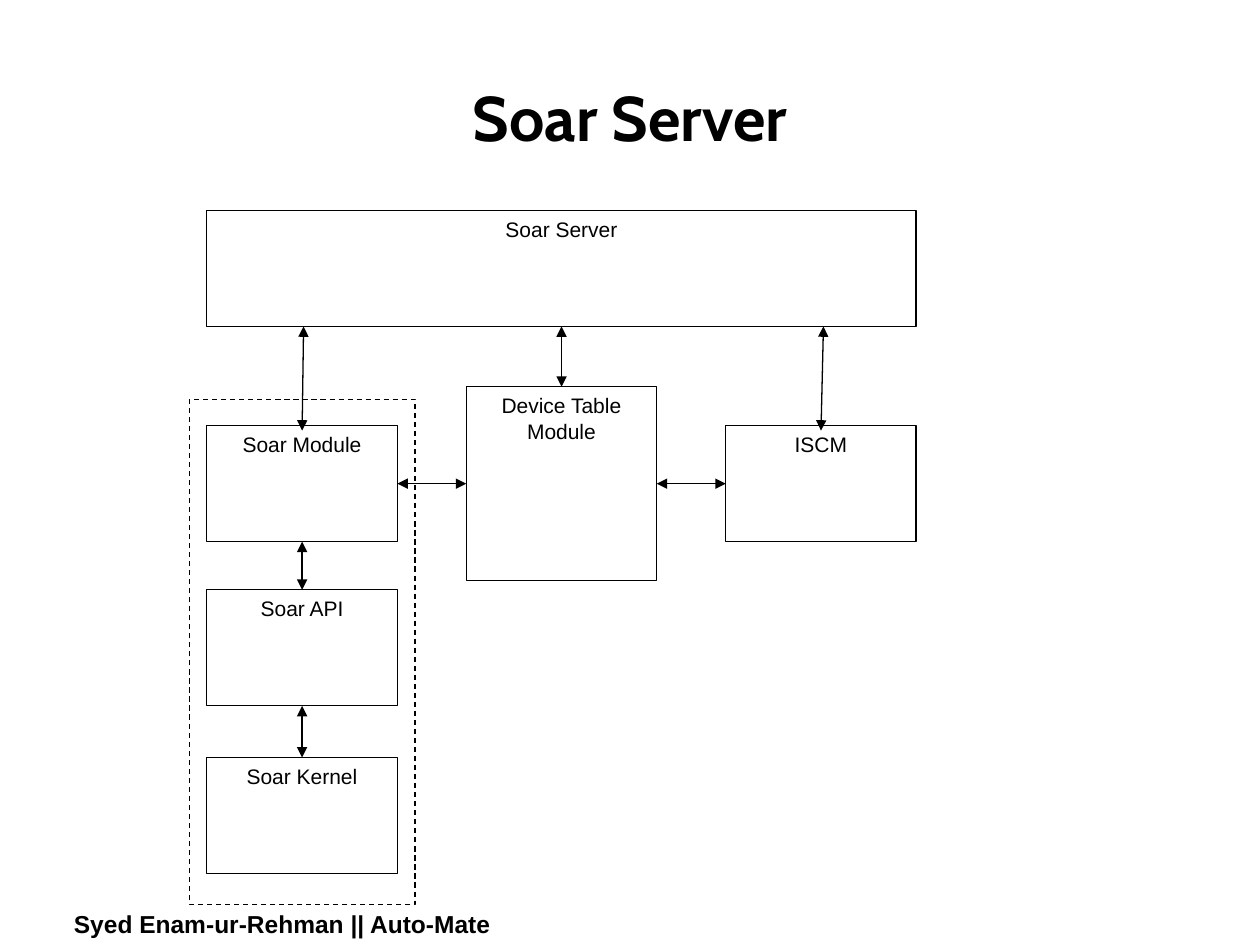
from lxml import etree
from pptx import Presentation
from pptx.dml.color import RGBColor
from pptx.enum import dml, shapes, text
from pptx.oxml import ns
from pptx.util import Cm, Pt

BLACK = RGBColor(0x00, 0x00, 0x00)
WHITE = RGBColor(0xFF, 0xFF, 0xFF)

# Content
TITLE = "Soar Server"
FOOTER = "Syed Enam-ur-Rehman || Auto-Mate"

# Grid in cm: three equal columns
LEFT, STEP, BOX_W, BOX_H = 4.17, 5.23, 3.84, 2.34
SERVER_TOP, MODULE_TOP = 4.24, 8.58
TABLE_H = 3.91
TABLE_TOP = MODULE_TOP + (BOX_H - TABLE_H) / 2

# Key: lines of text, column, top, columns spanned, height
MODULES = {
    "api": (["Soar API"], 0, 11.89, 1, BOX_H),
    "kernel": (["Soar Kernel"], 0, 15.27, 1, BOX_H),
    "soar": (["Soar Module"], 0, MODULE_TOP, 1, BOX_H),
    "server": (["Soar Server"], 0, SERVER_TOP, 3, BOX_H),
    "table": (["Device Table", "Module"], 1, TABLE_TOP, 1, TABLE_H),
    "iscm": (["ISCM"], 2, MODULE_TOP, 1, BOX_H),
}
TOP, LEFT_SIDE, BOTTOM, RIGHT_SIDE = range(4)
LINKS = [
    ("api", BOTTOM, "kernel", TOP),
    ("soar", BOTTOM, "api", TOP),
    ("soar", RIGHT_SIDE, "table", LEFT_SIDE),
    ("table", RIGHT_SIDE, "iscm", LEFT_SIDE),
    ("server", BOTTOM, "table", TOP),
]
# Server links that lean slightly and reach into the box: x at top, x at bottom
LEANING_LINKS = [(16.6, 16.55), (6.12, 6.09)]

MODULE_FONT = {"name": "Arial", "size": Pt(12), "bold": False}
TITLE_FONT = {"name": "Cabin", "size": Pt(36), "bold": True}
FOOTER_FONT = {"name": "Arial", "size": Pt(14), "bold": True}


def write(frame, lines, font, align, anchor=text.MSO_ANCHOR.TOP):
    frame.word_wrap = True
    frame.vertical_anchor = anchor
    for number, line in enumerate(lines):
        paragraph = frame.add_paragraph() if number else frame.paragraphs[0]
        paragraph.alignment = align
        run = paragraph.add_run()
        run.text = line
        for key, value in font.items():
            setattr(run.font, key, value)
        run.font.color.rgb = BLACK


def add_box(slide, *place):
    box = slide.shapes.add_shape(shapes.MSO_SHAPE.RECTANGLE, *map(Cm, place))
    box.shadow.inherit = False
    box.fill.solid()
    box.fill.fore_color.rgb = WHITE
    box.line.color.rgb = BLACK
    box.line.width = Pt(0.75)
    return box


def add_double_arrow(slide, *ends):
    arrow = slide.shapes.add_connector(
        shapes.MSO_CONNECTOR.STRAIGHT, *map(Cm, ends))
    arrow.line.color.rgb = BLACK
    arrow.line.width = Pt(0.75)
    outline = arrow.line._get_or_add_ln()
    for end in ("a:headEnd", "a:tailEnd"):
        etree.SubElement(outline, ns.qn(end), type="triangle")
    etree.SubElement(arrow._element.spPr, ns.qn("a:effectLst"))
    return arrow


def main():
    deck = Presentation()
    deck.slide_width, deck.slide_height = Cm(25.4), Cm(19.05)
    slide = deck.slides.add_slide(deck.slide_layouts[6])

    # Footer and title
    footer = slide.shapes.add_textbox(Cm(1.24), Cm(18.21), Cm(22.86), Cm(0.86))
    write(footer.text_frame, [FOOTER], FOOTER_FONT, text.PP_ALIGN.LEFT)
    title = slide.shapes.add_textbox(Cm(1.27), Cm(0.76), Cm(22.86), Cm(3.18))
    write(title.text_frame, [TITLE], TITLE_FONT, text.PP_ALIGN.CENTER,
          text.MSO_ANCHOR.MIDDLE)

    # Dashed frame around the Soar stack
    stack = add_box(slide, 3.82, 8.05, 4.55, 10.19)
    stack.line.dash_style = dml.MSO_LINE.DASH

    # Modules
    boxes = {}
    for key, (lines, column, top, span, height) in MODULES.items():
        width = (span - 1) * STEP + BOX_W
        boxes[key] = add_box(slide, LEFT + column * STEP, top, width, height)
        write(boxes[key].text_frame, lines, MODULE_FONT, text.PP_ALIGN.CENTER)

    # Links between modules
    for start, start_side, end, end_side in LINKS:
        arrow = add_double_arrow(slide, 0, 0, 0, 0)
        arrow.begin_connect(boxes[start], start_side)
        arrow.end_connect(boxes[end], end_side)
    for x_top, x_bottom in LEANING_LINKS:
        add_double_arrow(slide, x_top, SERVER_TOP + BOX_H,
                         x_bottom, MODULE_TOP + 0.1)

    deck.save("out.pptx")


if __name__ == "__main__":
    main()
